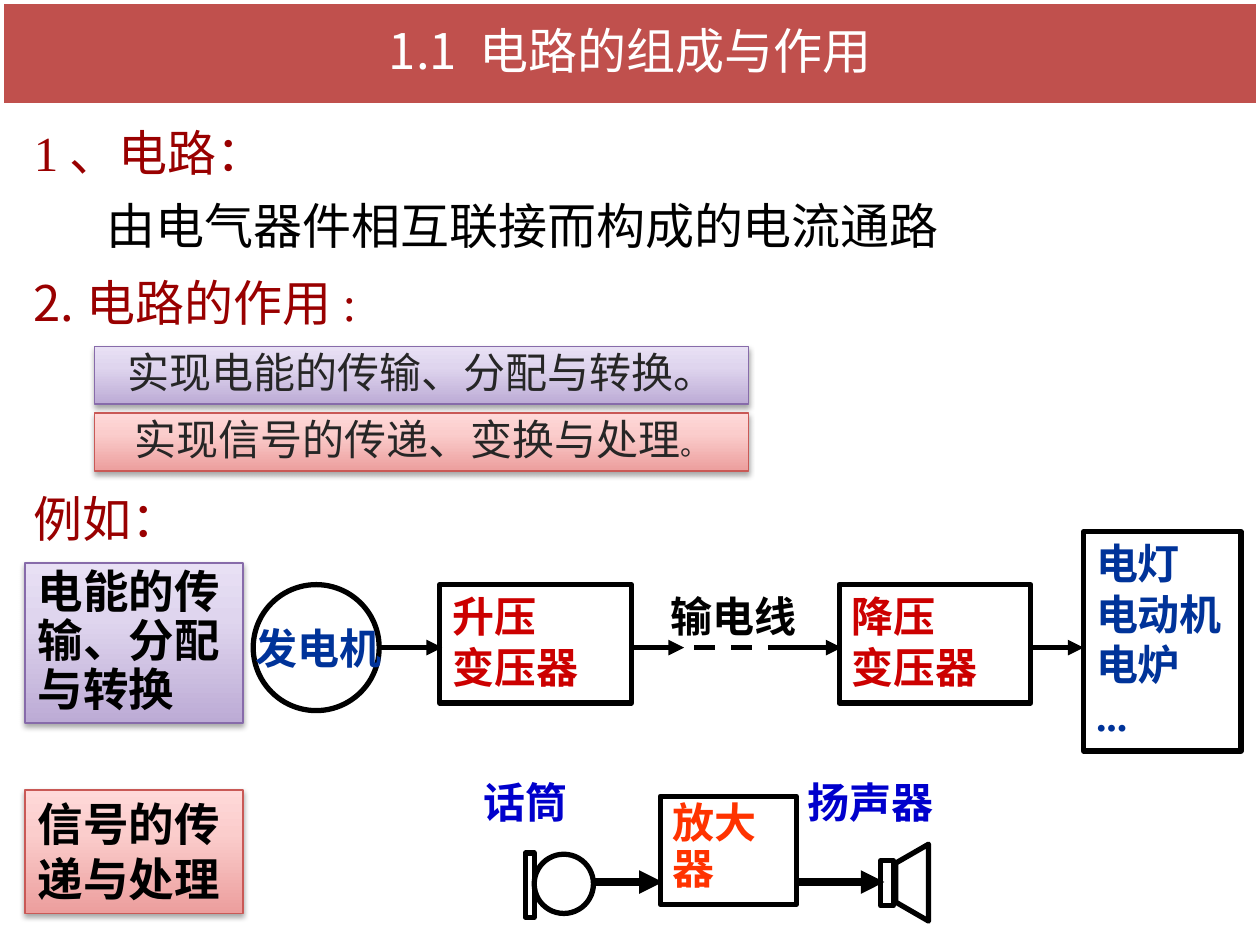
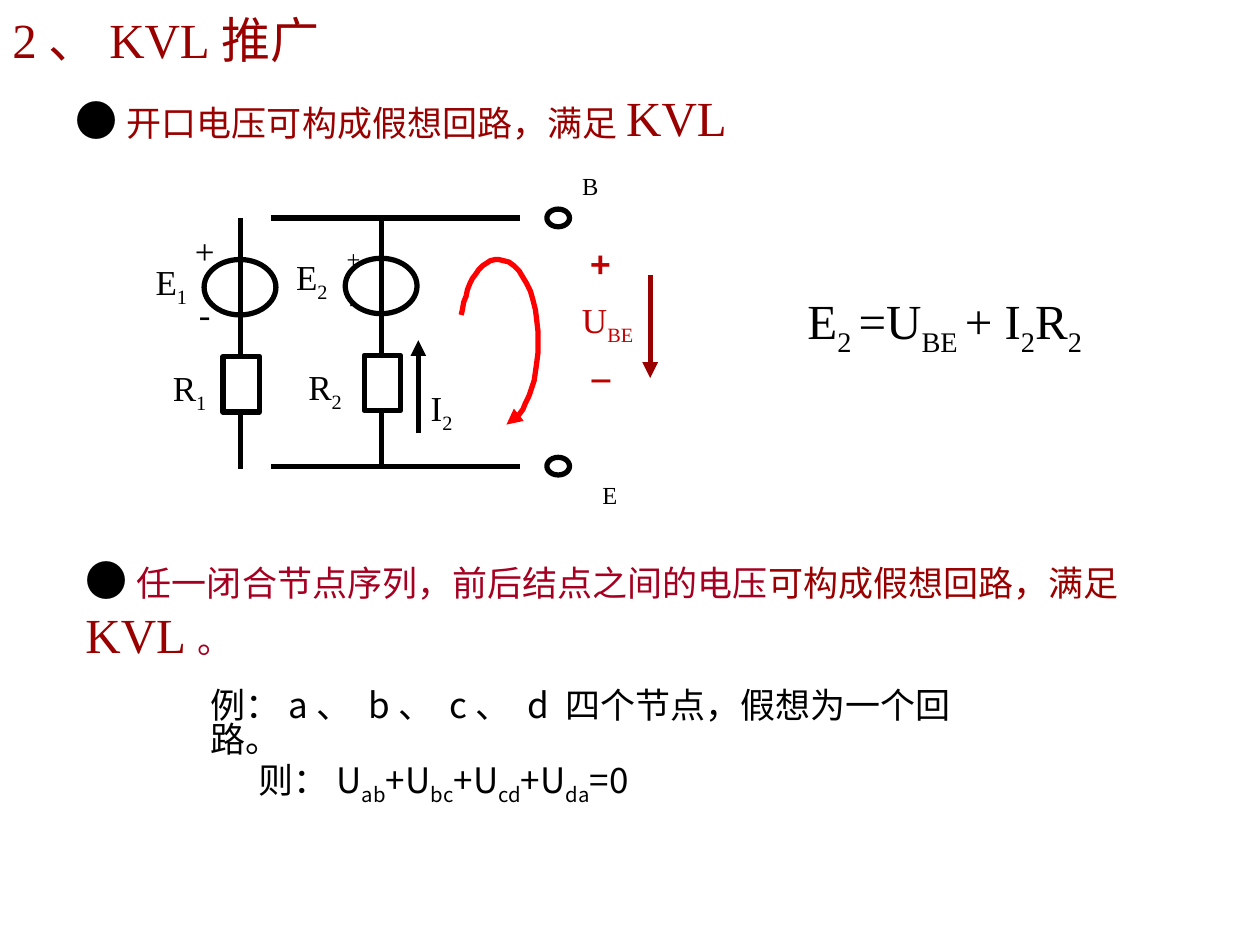
from copy import deepcopy
from dataclasses import dataclass

from lxml.etree import SubElement
from pptx import Presentation
from pptx.dml.color import RGBColor
from pptx.enum.dml import MSO_LINE
from pptx.enum.shapes import MSO_CONNECTOR, MSO_SHAPE as Shape
from pptx.enum.text import MSO_ANCHOR as Anchor, PP_ALIGN as Align
from pptx.oxml.ns import qn
from pptx.util import Emu, Pt

SCALE = 9144


@dataclass(frozen=True)
class Theme:
    serif: str = "Times New Roman"
    sans: str = "Noto Sans CJK SC"
    black: str = "000000"
    white: str = "FFFFFF"
    band: str = "C0504D"
    heading: str = "990000"
    crimson: str = "A50021"
    voltage: str = "C00000"
    soft: str = "262626"
    load: str = "003399"
    transformer: str = "CC0000"
    amplifier: str = "FF3300"
    device: str = "0000CC"
    loop: str = "FF0000"
    title: int = 28
    card: int = 26
    label: int = 24
    body: int = 20
    stop: int = 16
    small: int = 14
    wire: int = 3
    power: tuple = ("876BAA", ((0, "BCABD5"), (0.65, "DFD5EE"), (1, "E8E0F4")))
    signal: tuple = ("C95956", ((0, "EC9E9D"), (0.65, "FBCDCC"), (1, "FFD9D9")))


THEME = Theme()


def px(length):
    return Emu(length * SCALE)


def rgb(code):
    return RGBColor.from_string(code)


def bezier(start, first, second, end, steps=12):
    points = []
    for step in range(1, steps + 1):
        t = step / steps
        weights = ((1 - t) ** 3, 3 * t * (1 - t) ** 2, 3 * t * t * (1 - t), t ** 3)
        points.append(tuple(
            sum(weight * value for weight, value in zip(weights, axis))
            for axis in zip(start, first, second, end)))
    return points


class Painter:
    def __init__(self, theme):
        self.theme = theme
        self.deck = Presentation()
        self.deck.slide_width, self.deck.slide_height = px(1000), px(750)
        self.page = None

    def new_page(self):
        self.page = self.deck.slides.add_slide(self.deck.slide_layouts[6])

    def style(self, font, size=None, color=None, name=None, bold=None):
        if size:
            font.size = Pt(size)
        if color:
            font.color.rgb = rgb(color)
        if name:
            font.name = name
        if bold:
            font.bold = True

    def put_text(self, box, paragraphs, size, color=THEME.black, name=THEME.serif, bold=None,
                 align=Align.LEFT, anchor=Anchor.TOP, spacing=None, gap=0, wrap=True):
        frame = box.text_frame
        frame.word_wrap = wrap
        frame.vertical_anchor = anchor
        if isinstance(paragraphs, str):
            paragraphs = [paragraphs]
        for index, content in enumerate(paragraphs):
            para = frame.add_paragraph() if index else frame.paragraphs[0]
            para.alignment = align
            if spacing:
                para.line_spacing = spacing
            if index and gap:
                para.space_before = Pt(gap)
            self.style(para.font, size, color, name, bold)
            spans = [(content, {})] if isinstance(content, str) else content
            for text, changes in spans:
                self.add_spans(para, text, changes)

    def add_spans(self, para, text, changes):
        for index, part in enumerate(text.replace("]", "[").split("[")):
            if part:
                span = para.add_run()
                span.text = part
                self.style(span.font, **changes)
                if index % 2:
                    span._r.get_or_add_rPr().set("baseline", "-25000")

    def text(self, place, paragraphs, size, color=THEME.black, **options):
        box = self.page.shapes.add_textbox(*map(px, place))
        self.put_text(box, paragraphs, size, color, **options)

    def outline(self, item, color, width, arrow=False):
        item.line.color.rgb = rgb(color)
        item.line.width = Pt(width)
        if arrow:
            line = item._element.spPr.find(qn("a:ln"))
            SubElement(line, qn("a:tailEnd"), type="triangle")

    def shape(self, kind, place, fill=None, color=THEME.black, width=THEME.wire):
        item = self.page.shapes.add_shape(kind, *map(px, place))
        item.shadow.inherit = False
        if fill:
            item.fill.solid()
            item.fill.fore_color.rgb = rgb(fill)
        else:
            item.fill.background()
        self.outline(item, color, width)
        return item

    def box(self, place, paragraphs, size, color, **options):
        self.put_text(self.shape(Shape.RECTANGLE, place), paragraphs, size, color, **options)

    def card(self, place, tone, paragraphs, size, color, **options):
        edge, stops = tone
        item = self.shape(Shape.RECTANGLE, place, color=edge, width=1)
        item.fill.gradient()
        item.fill.gradient_angle = 90
        properties = item._element.spPr
        stop_list = properties.find(qn("a:gradFill")).find(qn("a:gsLst"))
        stop_list.append(deepcopy(stop_list[0]))
        for stop, (position, shade) in zip(item.fill.gradient_stops, stops):
            stop.position = position
            stop.color.rgb = rgb(shade)
        shadow = SubElement(properties.find(qn("a:effectLst")), qn("a:outerShdw"),
                            blurRad="40000", dist="23000", dir="5400000", rotWithShape="0")
        black = SubElement(shadow, qn("a:srgbClr"), val=self.theme.black)
        SubElement(black, qn("a:alpha"), val="35000")
        self.put_text(item, paragraphs, size, color, **options)

    def line(self, start, end, color=THEME.black, width=THEME.wire, arrow=False, dashed=False):
        item = self.page.shapes.add_connector(
            MSO_CONNECTOR.STRAIGHT, *map(px, start + end))
        if dashed:
            item.line.dash_style = MSO_LINE.DASH
        self.outline(item, color, width, arrow)
        SubElement(item._element.spPr, qn("a:effectLst"))

    def polyline(self, points, color=THEME.black, closed=False, arrow=False):
        builder = self.page.shapes.build_freeform(*points[0], scale=SCALE)
        builder.add_line_segments(points[1:], close=closed)
        item = builder.convert_to_shape()
        item.shadow.inherit = False
        item.fill.background()
        self.outline(item, color, self.theme.wire, arrow)


def power_chain(paint):
    theme = paint.theme
    level = 514
    paint.shape(Shape.OVAL, (201, 464, 100, 100))
    paint.text((193, 489, 120, 50), "发电机", theme.label, theme.load, bold=True, wrap=False)
    for left, kind in ((349, "升压"), (666, "降压")):
        paint.box((left, 464, 152, 94), [kind, "变压器"], theme.label,
                  theme.transformer, bold=True)
    paint.box((860, 422, 125, 174), ["电灯", "电动机电炉", "..."], theme.label,
              theme.load, bold=True)
    for start, end in ((301, 351), (501, 543), (626, 668), (818, 860)):
        paint.line((start, level), (end, level), arrow=True)
    paint.line((551, level), (626, level), dashed=True)
    paint.text((522, 464, 120, 50), "输电线", theme.label, bold=True, wrap=False)


def signal_chain(paint):
    theme = paint.theme
    paint.shape(Shape.OVAL, (424, 678, 47, 47))
    paint.shape(Shape.RECTANGLE, (417, 677, 7, 51))
    paint.shape(Shape.RECTANGLE, (699, 683, 10, 36))
    paint.polyline([(737, 670), (711, 685), (711, 716), (737, 731)], closed=True)
    for start, end in ((470, 526), (632, 702)):
        paint.line((start, 700), (end, 700), width=4.5, arrow=True)
    paint.box((524, 632, 108, 86), "放大器", theme.label, theme.amplifier,
              bold=True, spacing=0.9)
    for left, width, name in ((631, 175, "扬声器"), (374, 132, "话筒")):
        paint.text((left, 611, width, 50), name, theme.label, theme.device, bold=True)


def circuit_page(paint):
    theme = paint.theme
    paint.new_page()
    band = paint.shape(Shape.ROUNDED_RECTANGLE, (0, 0, 1000, 85), theme.band, theme.white, 4.33)
    band.adjustments[0] = 0
    paint.put_text(band, "1.1 电路的组成与作用", theme.title, theme.white, name=theme.sans,
                   align=Align.CENTER, anchor=Anchor.MIDDLE, spacing=0.9)
    paint.text((17, 92, 333, 57), "1、电路：", theme.title, theme.heading)
    paint.text((75, 150, 692, 57), "由电气器件相互联接而构成的电流通路", theme.title)
    paint.text((17, 217, 300, 52), [[("2.", {"name": theme.sans}), ("电路的作用:", {})]],
               theme.title, theme.heading, spacing=0.9)
    paint.text((17, 383, 133, 57), "例如：", theme.title, theme.heading)

    paint.card((75, 275, 519, 46), theme.power, "实现电能的传输、分配与转换。",
               theme.label, theme.soft, align=Align.CENTER, spacing=0.9)
    paint.card((75, 328, 519, 46), theme.signal,
               [[("实现信号的传递、变换与处理", {}), ("。", {"size": theme.stop})]],
               theme.label, theme.soft, align=Align.CENTER, spacing=0.9)
    paint.card((20, 447, 173, 127), theme.power, "电能的传输、分配与转换",
               theme.card, theme.black, bold=True, spacing=0.9)
    paint.card((20, 627, 173, 98), theme.signal, "信号的传递与处理",
               theme.card, theme.black, bold=True)
    signal_chain(paint)
    power_chain(paint)


def open_circuit(paint):
    theme = paint.theme
    centred = {"align": Align.CENTER, "anchor": Anchor.MIDDLE}
    for center, top in ((191, 173), (303, 172)):
        paint.shape(Shape.OVAL, (center - 29, top + 33, 57, 44))
        paint.line((center, top), (center, top + 110))
        paint.shape(Shape.RECTANGLE, (center - 14, top + 110, 29, 44))
        paint.line((center, top + 154), (center, top + 199))
    for level in (173, 370):
        paint.line((215, level), (413, level))
        paint.shape(Shape.OVAL, (434, level - 7, 18, 14))

    for place, name in (((93, 204, 86, 44), "E[1]"), ((117, 288, 67, 44), "R[1]"),
                        ((201, 200, 93, 44), "E[2]"), ((223, 287, 70, 44), "R[2]")):
        paint.text(place, name, theme.body, **centred)
    for place, size, gap in (((134, 177, 57, 94), theme.body, 12),
                             ((252, 188, 57, 69), theme.small, 8)):
        paint.text(place, ["+", "-"], size, gap=gap, **centred)
    for place, name in (((452, 130, 33, 34), "B"), ((468, 376, 32, 34), "E")):
        paint.text(place, name, theme.small, wrap=False, **centred)
    for place, sign in (((453, 188, 47, 44), "+"), ((449, 267, 56, 44), "_")):
        paint.text(place, sign, theme.body, theme.voltage, name=theme.sans,
                   bold=True, align=Align.CENTER)

    paint.text((452, 232, 105, 44), "U[BE]", theme.body, theme.voltage)
    paint.line((516, 218), (516, 300), theme.heading, arrow=True)
    paint.text((332, 302, 64, 44), "I[2]", theme.body)
    paint.line((332, 344), (332, 270), arrow=True)

    loop = [(366, 250), (367, 246)]
    for curve in (((371, 222), (382, 206), (396, 206)),
                  ((413, 206), (427, 235), (427, 272)),
                  ((427, 304), (416, 331), (402, 337))):
        loop += bezier(loop[-1], *curve)
    paint.polyline(loop, theme.loop, arrow=True)


def voltage_law_page(paint):
    theme = paint.theme
    bullet = ("● ", {"size": theme.label, "color": theme.black})
    law = ("KVL", {"size": theme.title})
    crimson = {"color": theme.crimson, "name": theme.sans}
    paint.new_page()
    paint.text((0, 0, 325, 67), "2、KVL推广", theme.title, theme.heading,
               anchor=Anchor.MIDDLE, spacing=0.9)
    open_circuit(paint)
    paint.text((631, 226, 273, 57), "E[2 ]=U[BE ]+ I[2]R[2]", theme.title)
    paint.text((50, 55, 742, 62), [[bullet, ("开口电压可构成假想回路，满足", {}), law]],
               theme.body, theme.heading, spacing=1.2)
    paint.text((58, 435, 925, 57),
               [[bullet, ("任一闭合节点序列，前后结点之间的电压", crimson),
                 ("可构成假想回路，满足", {}), law, ("。", crimson)]],
               theme.body, theme.heading)
    for place, sentence in (
            ((157, 544, 634, 37), "例：a、 b、 c、 d 四个节点，假想为一个回路。"),
            ((195, 601, 573, 37), "则：U[ab]+U[bc]+U[cd]+U[da]=0")):
        paint.text(place, sentence, theme.body, name=theme.sans, spacing=0.8)


def main():
    paint = Painter(THEME)
    circuit_page(paint)
    voltage_law_page(paint)
    paint.deck.save("out.pptx")


if __name__ == "__main__":
    main()
